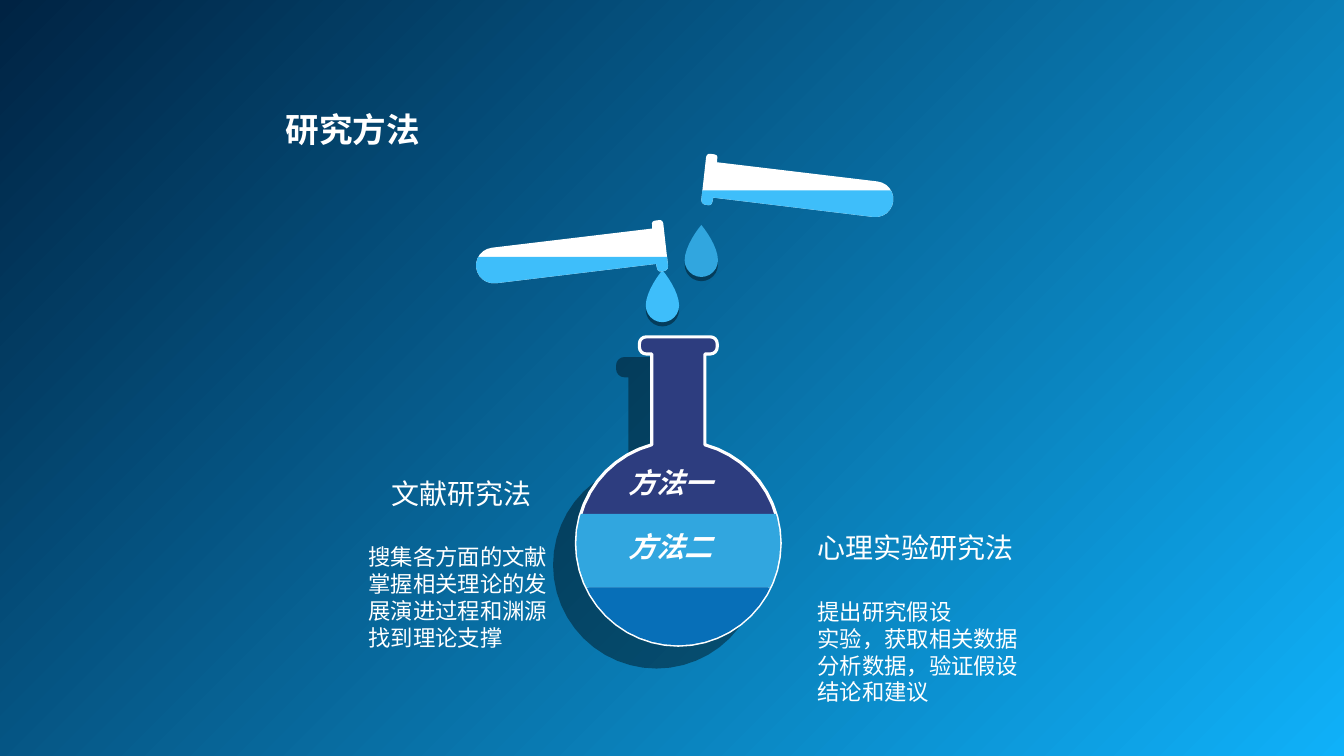
from math import asin, cos, degrees, radians, sin
from lxml.etree import SubElement
from pptx import Presentation
from pptx.dml.color import RGBColor
from pptx.oxml.ns import qn
from pptx.util import Cm, Pt

WHITE = RGBColor(0xFF, 0xFF, 0xFF)
NIGHT = RGBColor(0x00, 0x23, 0x43)
SKY = RGBColor(0x0F, 0xB1, 0xF9)
LIQUID = RGBColor(0x3E, 0xBE, 0xFA)
MIDDLE = RGBColor(0x31, 0xA6, 0xDF)
BOTTOM = RGBColor(0x07, 0x6F, 0xB8)
INDIGO = RGBColor(0x2D, 0x3D, 0x7F)
ARIAL = "Arial"
NOTO = "Noto Sans CJK SC"


def arc(x, y, radius, start, end, steps=4):
    angles = [radians(start + (end - start) * i / steps) for i in range(steps + 1)]
    return [(x + radius * cos(a), y + radius * sin(a)) for a in angles]


def curve(a, b, c, d, steps=3):
    points = []
    for i in range(steps + 1):
        t = i / steps
        weights = ((1 - t) ** 3, 3 * t * (1 - t) ** 2, 3 * t * t * (1 - t), t ** 3)
        points.append(tuple(sum(w * p[axis] for w, p in zip(weights, (a, b, c, d)))
                            for axis in (0, 1)))
    return points


def below(points, level):
    kept = []
    for (x1, y1), (x2, y2) in zip(points, points[1:] + points[:1]):
        if y1 >= level:
            kept.append((x1, y1))
        if (y1 >= level) != (y2 >= level):
            kept.append((x1 + (x2 - x1) * (level - y1) / (y2 - y1), level))
    return kept


def flask_outline(x, y, radius, neck, lip, top, lip_bottom):
    gap = degrees(asin(neck / radius))
    corner = 0.17
    return (arc(x, y, radius, gap - 90, 270 - gap, 44)
            + [(x - neck, lip_bottom)]
            + arc(x - lip + corner, lip_bottom - corner, corner, 90, 180)
            + arc(x - lip + corner, top + corner, corner, 180, 270)
            + arc(x + lip - corner, top + corner, corner, -90, 0)
            + arc(x + lip - corner, lip_bottom - corner, corner, 0, 90)
            + [(x + neck, lip_bottom)])


def drop_outline(x, y):
    left = curve((x - 0.42, y + 0.89), (x - 0.42, y + 0.6), (x - 0.17, y + 0.2), (x, y), 7)
    right = [(2 * x - px, py) for px, py in reversed(left[:-1])]
    return left + right + arc(x, y + 0.89, 0.42, 0, 180, 12)[1:-1]


def tube_outline():
    return (arc(22.07, 5.02, 0.45, 96.5, -83.5, 12)
            + [(18.08, 4.09)]
            + curve((18.08, 4.01), (18.1, 3.95), (18.08, 3.9), (18.01, 3.89))
            + curve((17.93, 3.88), (17.86, 3.86), (17.81, 3.89), (17.8, 3.96))
            + curve((17.68, 5.03), (17.67, 5.1), (17.72, 5.15), (17.78, 5.16))
            + curve((17.86, 5.17), (17.91, 5.18), (17.95, 5.14), (17.96, 5.08))
            + [(17.98, 4.98)])


class Board:
    def __init__(self):
        self.presentation = Presentation()
        self.presentation.slide_width = Cm(33.88)
        self.presentation.slide_height = Cm(19.05)
        self.slide = self.presentation.slides.add_slide(self.presentation.slide_layouts[6])

    def background(self, first, last):
        fill = self.slide.background.fill
        fill.gradient()
        fill.gradient_angle = 315
        for stop, color, position in zip(fill.gradient_stops, (first, last), (0, 1)):
            stop.color.rgb = color
            stop.position = position

    def outline(self, points, color, line=None, shadow=None):
        start, *rest = [(Cm(x), Cm(y)) for x, y in points]
        builder = self.slide.shapes.build_freeform(*start)
        builder.add_line_segments(rest, close=True)
        shape = builder.convert_to_shape()
        shape.shadow.inherit = False
        shape.fill.solid()
        shape.fill.fore_color.rgb = color
        if line:
            shape.line.color.rgb = line
            shape.line.width = Pt(2.25)
        else:
            shape.line.fill.background()
        if shadow:
            distance, angle = shadow
            effects = shape._element.spPr.find(qn("a:effectLst"))
            outer = SubElement(effects, qn("a:outerShdw"), blurRad="0", dist=str(Pt(distance)),
                               dir=str(angle * 60000), algn="ctr", rotWithShape="0")
            black = SubElement(outer, qn("a:srgbClr"), val="000000")
            SubElement(black, qn("a:alpha"), val="40000")

    def run(self, paragraph, text, size, font=ARIAL, bold=False, italic=False):
        run = paragraph.add_run()
        run.text = text
        run.font.name = font
        run.font.size = Pt(size)
        run.font.bold = bold
        run.font.italic = italic
        run.font.color.rgb = WHITE
        properties = run.font._element
        properties.set("lang", "zh-CN")
        SubElement(properties, qn("a:ea"), typeface=NOTO)

    def frame(self, left, top, width, height, wrap):
        box = self.slide.shapes.add_textbox(Cm(left), Cm(top), Cm(width), Cm(height))
        box.text_frame.word_wrap = wrap
        return box.text_frame

    def label(self, text, left, top, width, height, size, italic=False):
        frame = self.frame(left, top, width, height, False)
        self.run(frame.paragraphs[0], text, size, NOTO, True, italic)

    def method(self, heading, lines, left, top, width, indent=0):
        frame = self.frame(left, top, width, 4.67, True)
        paragraph = frame.paragraphs[0]
        paragraph._p.get_or_add_pPr().set("indent", str(Cm(indent)))
        self.run(paragraph, heading, 20)
        for i, line in enumerate(lines):
            paragraph = frame.add_paragraph()
            paragraph.space_before = Pt(0 if i else 24)
            self.run(paragraph, line, 16)


def main():
    board = Board()
    board.background(NIGHT, SKY)
    board.label("研究方法", 6.95, 2.62, 3.89, 1.27, 24)

    for x, y, color in ((16.7, 6.81, LIQUID), (17.68, 5.67, MIDDLE)):
        board.outline(drop_outline(x, y), color, shadow=(3, 90))

    flask = flask_outline(17.1, 13.69, 2.57, 0.67, 0.98, 8.49, 8.92)
    board.outline(flask, INDIGO, line=WHITE, shadow=(22, 135))
    for level, color in ((14.81, BOTTOM), (12.95, MIDDLE)):
        layer = below(flask, level)
        if color == MIDDLE:
            layer = [(x, -y) for x, y in below([(x, -y) for x, y in layer], -14.81)]
        board.outline(layer, color)

    right_tube = tube_outline()
    left_tube = [(34.52 - x, y + 1.67) for x, y in right_tube]
    for tube, level in ((right_tube, 4.8), (left_tube, 6.47)):
        board.outline(tube, WHITE)
        board.outline(below(tube, level), LIQUID)

    for text, top in (("方法一", 11.61), ("方法二", 13.21)):
        board.label(text, 15.6, top, 2.62, 1.12, 20, italic=True)

    board.method("心理实验研究法",
                 ("提出研究假设", "实验，获取相关数据", "分析数据，验证假设", "结论和建议"),
                 20.36, 13.25, 7.09)
    board.method("文献研究法",
                 ("搜集各方面的文献掌握相关理论的发展演进过程和渊源", "找到理论支撑"),
                 9.04, 11.87, 5.23, indent=0.58)
    board.presentation.save("out.pptx")


if __name__ == "__main__":
    main()
